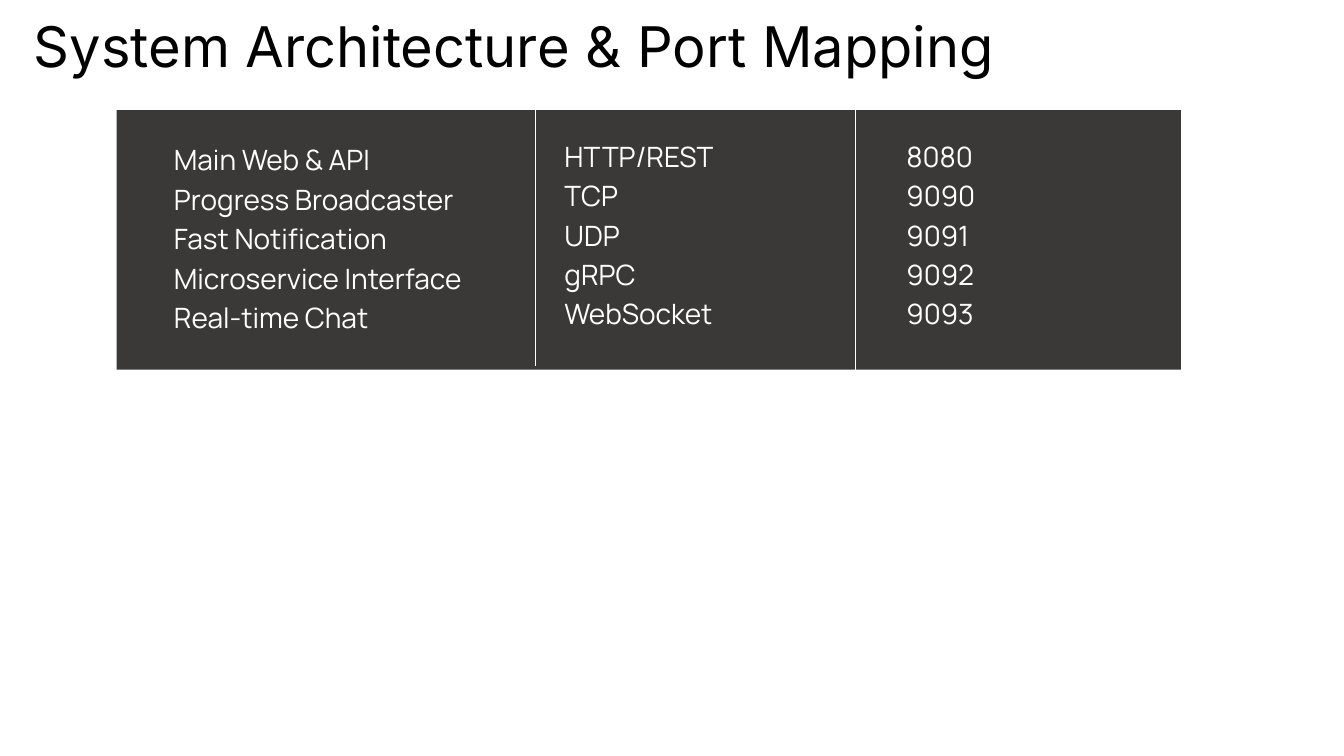
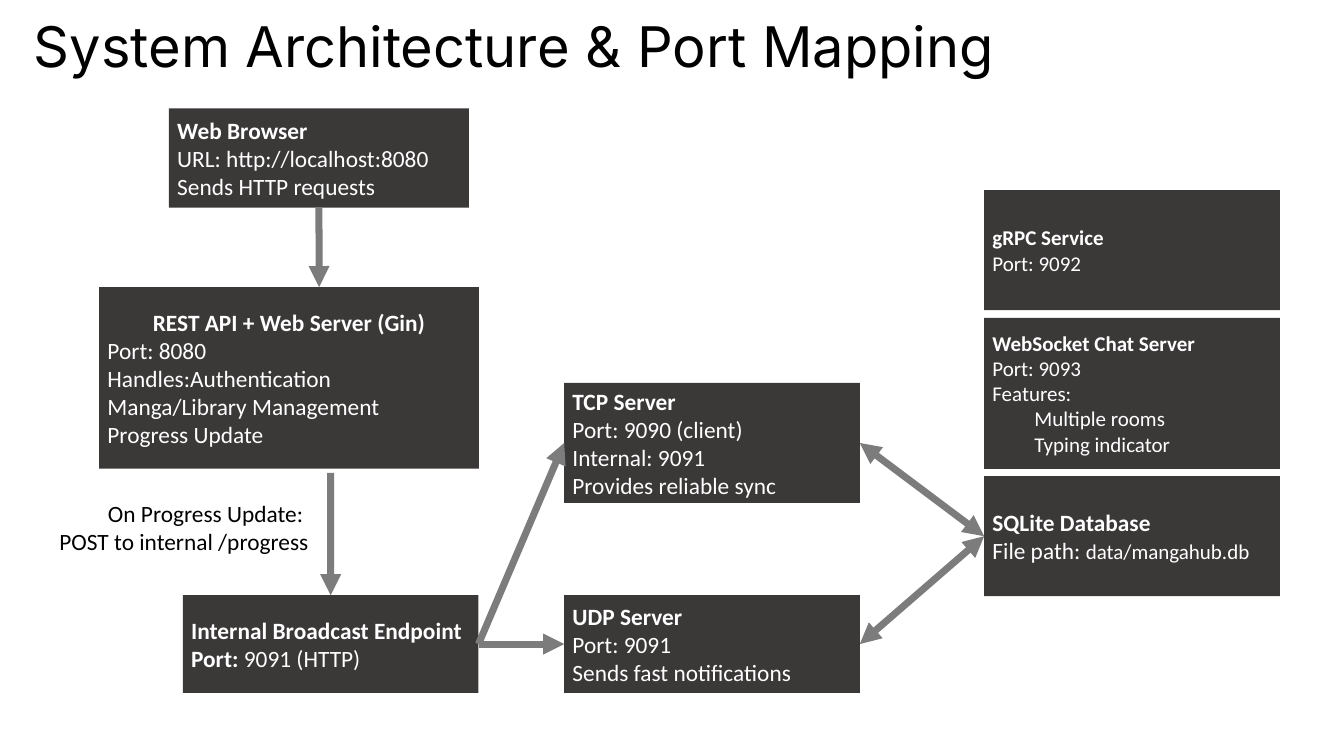
from lxml import etree
from pptx import Presentation
from pptx.dml.color import RGBColor
from pptx.enum.shapes import MSO_CONNECTOR, MSO_SHAPE
from pptx.enum.text import MSO_ANCHOR, PP_ALIGN
from pptx.oxml.ns import qn
from pptx.util import Cm, Pt

STRAIGHT = MSO_CONNECTOR.STRAIGHT
RECTANGLE = MSO_SHAPE.RECTANGLE
MIDDLE = MSO_ANCHOR.MIDDLE
LEFT, CENTER, RIGHT = PP_ALIGN.LEFT, PP_ALIGN.CENTER, PP_ALIGN.RIGHT
TOP_SIDE, LEFT_SIDE, BOTTOM_SIDE, RIGHT_SIDE = range(4)

COLORS = {"panel": "3B3838", "light": "FFFFFF", "dark": "000000", "arrow": "7C7C7C"}
TITLE = "System Architecture & Port Mapping"

PORT_COLUMNS = [
    (1.73, 1.55, 14.71, ["Main Web & API", "Progress Broadcaster", "Fast Notification",
                         "Microservice Interface", "Real-time Chat"]),
    (13.54, 1.44, 10.87, ["HTTP/REST", "TCP", "UDP", "gRPC", "WebSocket"]),
    (23.88, 1.44, 6.15, ["8080", "9090", "9091", "9092", "9093"]),
]
PORT_DIVIDERS = [(12.65, -0.13, 7.75), (22.33, -0.1, 7.98)]
ROW_STEP = 1.19

NODE_WIDTH = 8.94
SERVER_X, STORE_X = 16.42, 29.12
NODES = {
    "browser": ((4.47, 0, 9.07, 3), 20,
                ["Web Browser", "URL: http://localhost:8080", "Sends HTTP requests"]),
    "rest": ((2.36, 5.4, 11.48, 5.49), 20,
             [("REST API + Web Server (Gin)", {"align": CENTER}), "Port: 8080",
              "Handles:Authentication", "Manga/Library Management", "Progress Update"]),
    "broadcast": ((4.89, 14.72, NODE_WIDTH, 2.95), 20,
                  ["Internal Broadcast Endpoint",
                   ("Port: ", {"bold": True, "tail": ("9091 (HTTP)", 20)})]),
    "tcp": ((SERVER_X, 8.3, NODE_WIDTH, 3.63), 20,
            ["TCP Server", "Port: 9090 (client)", "Internal: 9091", "Provides reliable sync"]),
    "udp": ((SERVER_X, 14.72, NODE_WIDTH, 2.95), 20,
            ["UDP Server", "Port: 9091", "Sends fast notifications"]),
    "database": ((STORE_X, 11.12, NODE_WIDTH, 3.63), 20,
                 ["SQLite Database", ("File path: ", {"tail": ("data/mangahub.db", 18)})]),
    "chat": ((STORE_X, 6.33, NODE_WIDTH, 4.57), 18,
             ["WebSocket Chat Server", "Port: 9093", "Features:",
              ("Multiple rooms", {"level": 1}), ("Typing indicator", {"level": 1})]),
    "grpc": ((STORE_X, 2.47, NODE_WIDTH, 3.63), 18, ["gRPC Service", "Port: 9092"]),
}
LINKS = [
    ("broadcast", "tcp", False),
    ("broadcast", "udp", False),
    ("udp", "database", True),
    ("tcp", "database", True),
]


def rgb(name):
    """Return the named palette colour."""
    return RGBColor.from_string(COLORS[name])


def add_line_of_text(frame, text, font="Calibri", size=20, color="light", bold=False,
                     align=LEFT, level=0, spacing=None, tail=None):
    """Write one paragraph, with an optional plain tail of its own size."""
    first = frame.paragraphs[0]
    paragraph = frame.add_paragraph() if first.runs else first
    paragraph.alignment = align
    if level:
        paragraph.level = level
        paragraph._p.get_or_add_pPr().set("marL", str(Cm(1.27 * level)))
    if spacing:
        paragraph.line_spacing = Pt(spacing)
    pieces = [(text, size, bold)]
    if tail:
        pieces.append((*tail, False))
    for words, points, heavy in pieces:
        run = paragraph.add_run()
        run.text = words
        run.font.name = font
        run.font.size = Pt(points)
        run.font.bold = heavy
        run.font.color.rgb = rgb(color)


def add_label(slide, left, top, width, height, text, **style):
    """Place one line of text without insets."""
    frame = slide.shapes.add_textbox(Cm(left), Cm(top), Cm(width), Cm(height)).text_frame
    frame.word_wrap = True
    frame.margin_left = frame.margin_top = frame.margin_right = frame.margin_bottom = 0
    add_line_of_text(frame, text, **style)


def add_panel(slide, left, top, width, height):
    """Draw a flat dark rectangle."""
    panel = slide.shapes.add_shape(RECTANGLE, Cm(left), Cm(top), Cm(width), Cm(height))
    panel.shadow.inherit = False
    panel.fill.solid()
    panel.fill.fore_color.rgb = rgb("panel")
    panel.line.fill.background()
    return panel


def add_rule(slide, start, end, color, weight, heads=()):
    """Draw a straight line with triangles at the listed ends."""
    rule = slide.shapes.add_connector(STRAIGHT, *map(Cm, start + end))
    rule.line.color.rgb = rgb(color)
    rule.line.width = Pt(weight)
    outline = rule.line._get_or_add_ln()
    for head in heads:
        etree.SubElement(outline, qn(f"a:{head}"), type="triangle")
    etree.SubElement(rule._element.spPr, qn("a:effectLst"))
    return rule


def add_arrow(slide, start=(0, 0), end=(0, 0), both=False):
    """Draw a thick grey arrow."""
    heads = ("headEnd", "tailEnd") if both else ("tailEnd",)
    return add_rule(slide, start, end, "arrow", 6, heads)


def add_titled_slide(deck):
    """Add a blank slide with the shared title."""
    slide = deck.slides.add_slide(deck.slide_layouts[6])
    add_label(slide, 1.02, 1.47, 31, 0.91, TITLE,
              font="Inter", size=48, color="dark", spacing=25.5)
    return slide


def add_port_panel(slide, left, top, width, height):
    """Draw the service, protocol and port columns in a panel."""
    add_panel(slide, left, top, width, height)
    for x, y, column_width, entries in PORT_COLUMNS:
        for row, entry in enumerate(entries):
            add_label(slide, left + x, top + y + row * ROW_STEP, column_width, 0.46, entry,
                      font="Manrope", size=24, spacing=13)
    for x, upper, lower in PORT_DIVIDERS:
        add_rule(slide, (left + x, top + upper), (left + x, top + lower), "light", 0.5)


def add_node(slide, left, top, width, height, size, lines):
    """Draw a service box with a bold heading and details."""
    node = add_panel(slide, left, top, width, height)
    frame = node.text_frame
    frame.word_wrap = True
    frame.vertical_anchor = MIDDLE
    for index, line in enumerate(lines):
        text, style = (line, {}) if isinstance(line, str) else line
        add_line_of_text(frame, text, **{"size": size, "bold": index == 0, **style})
    return node


def add_progress_note(slide, left, top, width, height):
    """Write the note beside the broadcast arrow."""
    frame = slide.shapes.add_textbox(Cm(left), Cm(top), Cm(width), Cm(height)).text_frame
    frame.word_wrap = True
    frame.vertical_anchor = MIDDLE
    for text in ("On Progress Update: ", "POST to internal /progress"):
        add_line_of_text(frame, text, color="dark", align=RIGHT)


def add_service_flow(slide, left, top):
    """Draw the service boxes and the arrows between them."""
    nodes = {
        name: add_node(slide, left + x, top + y, width, height, size, lines)
        for name, ((x, y, width, height), size, lines) in NODES.items()
    }
    add_progress_note(slide, left, top + 12.37, NODE_WIDTH, 0.58)

    request = add_arrow(slide, end=(left + 9.01, top + 5.4))
    request.begin_connect(nodes["browser"], BOTTOM_SIDE)
    update = add_arrow(slide, start=(left + 9.36, top + 11.02))
    update.end_connect(nodes["broadcast"], TOP_SIDE)
    for source, target, both in LINKS:
        link = add_arrow(slide, both=both)
        link.begin_connect(nodes[source], RIGHT_SIDE)
        link.end_connect(nodes[target], LEFT_SIDE)


def main():
    """Build and save the deck."""
    deck = Presentation()
    deck.slide_width, deck.slide_height = Cm(40.64), Cm(22.86)
    add_port_panel(add_titled_slide(deck), 3.53, 3.33, 32.18, 7.85)
    add_service_flow(add_titled_slide(deck), 0.64, 3.28)
    deck.save("out.pptx")


if __name__ == "__main__":
    main()
